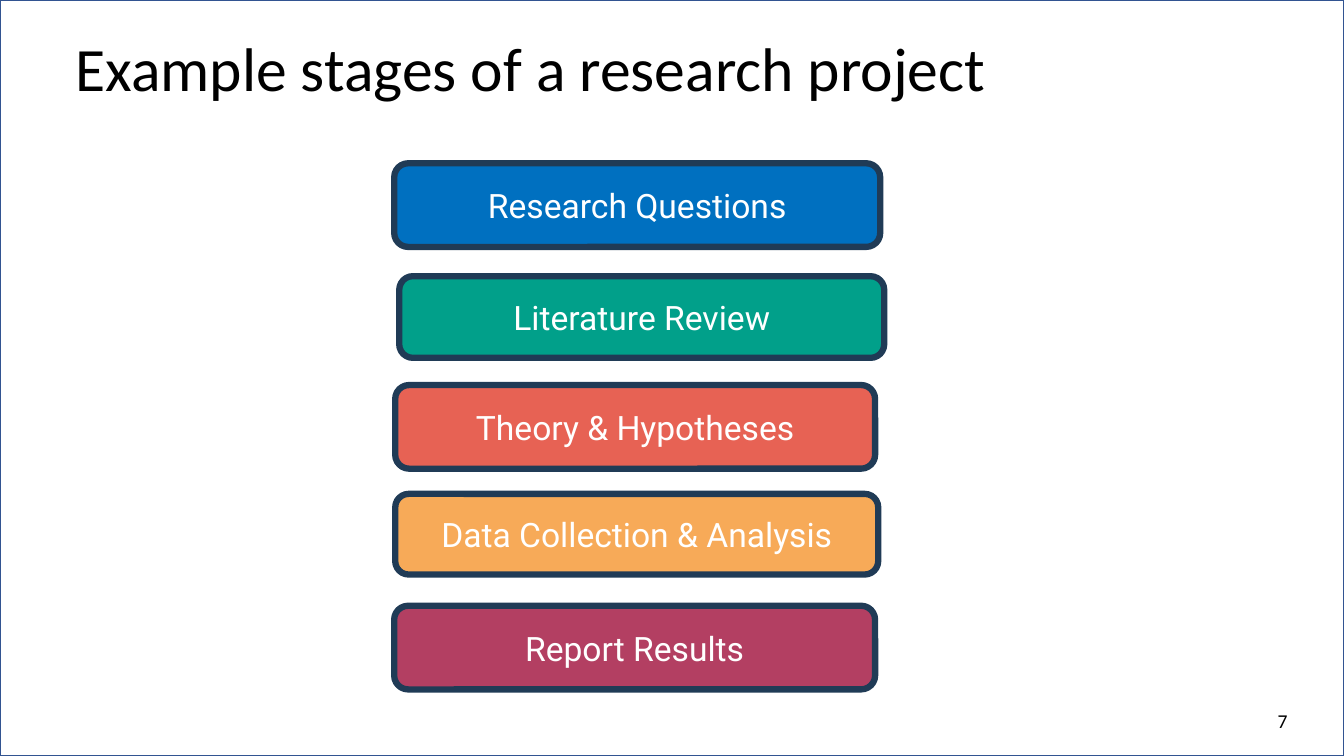
from pptx import Presentation
from pptx.dml.color import RGBColor as RGB
from pptx.enum.shapes import MSO_SHAPE as Shape
from pptx.enum.text import MSO_ANCHOR as Anchor, MSO_AUTO_SIZE as Fit, PP_ALIGN as Align
from pptx.util import Inches, Pt

WIDTH, HEIGHT = 13.33, 7.5
TITLE = "Example stages of a research project"
NUMBER = "7"
COLORS = {
    "black": "000000", "white": "FFFFFF", "frame": "325491", "edge": "203B56",
    "blue": "0070C0", "green": "01A08A", "red": "E76254",
    "orange": "F7AA58", "plum": "B33F62",
}
# label, fill, (left, top, width, height)
STAGES = [
    ("Research Questions", "blue", (3.91, 1.62, 4.82, 0.83)),
    ("Literature Review", "green", (3.96, 2.74, 4.81, 0.81)),
    ("Theory & Hypotheses", "red", (3.92, 3.82, 4.76, 0.83)),
    ("Data Collection & Analysis", "orange", (3.92, 4.9, 4.79, 0.8)),
    ("Report Results", "plum", (3.91, 6.01, 4.77, 0.83)),
]
TITLE_FONT = {"name": "Calibri", "size": Pt(44), "bold": False}
NUMBER_FONT = {"name": "Calibri", "size": Pt(14)}
STAGE_FONT = {"name": "Roboto", "size": Pt(24)}


def color(name):
    return RGB.from_string(COLORS[name])


def inches(box):
    return [Inches(n) for n in box]


def write(shape, text, style, ink, align):
    frame = shape.text_frame
    frame.text = text
    frame.word_wrap = True
    frame.auto_size = Fit.NONE
    frame.vertical_anchor = Anchor.MIDDLE
    para = frame.paragraphs[0]
    para.alignment = align
    font = para.runs[0].font
    for key, value in style.items():
        setattr(font, key, value)
    font.color.rgb = color(ink)


def draw(slide, kind, box, fill, line, weight):
    shape = slide.shapes.add_shape(kind, *inches(box))
    shape.shadow.inherit = False
    if fill:
        shape.fill.solid()
        shape.fill.fore_color.rgb = color(fill)
    else:
        shape.fill.background()
    shape.line.color.rgb = color(line)
    shape.line.width = Pt(weight)
    return shape


def main():
    deck = Presentation()
    deck.slide_width, deck.slide_height = inches((WIDTH, HEIGHT))
    slide = deck.slides.add_slide(deck.slide_layouts[5])

    title = slide.shapes.title
    title.left, title.top, title.width, title.height = inches((0.65, 0.24, 11.66, 0.84))
    write(title, TITLE, TITLE_FONT, "black", Align.LEFT)

    draw(slide, Shape.RECTANGLE, (0, 0, WIDTH, HEIGHT), None, "frame", 1)
    for label, fill, box in STAGES:
        stage = draw(slide, Shape.ROUNDED_RECTANGLE, box, fill, "edge", 4.5)
        write(stage, label, STAGE_FONT, "white", Align.CENTER)

    number = slide.shapes.add_textbox(*inches((9.87, 6.95, 3, 0.4)))
    write(number, NUMBER, NUMBER_FONT, "black", Align.RIGHT)
    deck.save("out.pptx")


if __name__ == "__main__":
    main()
